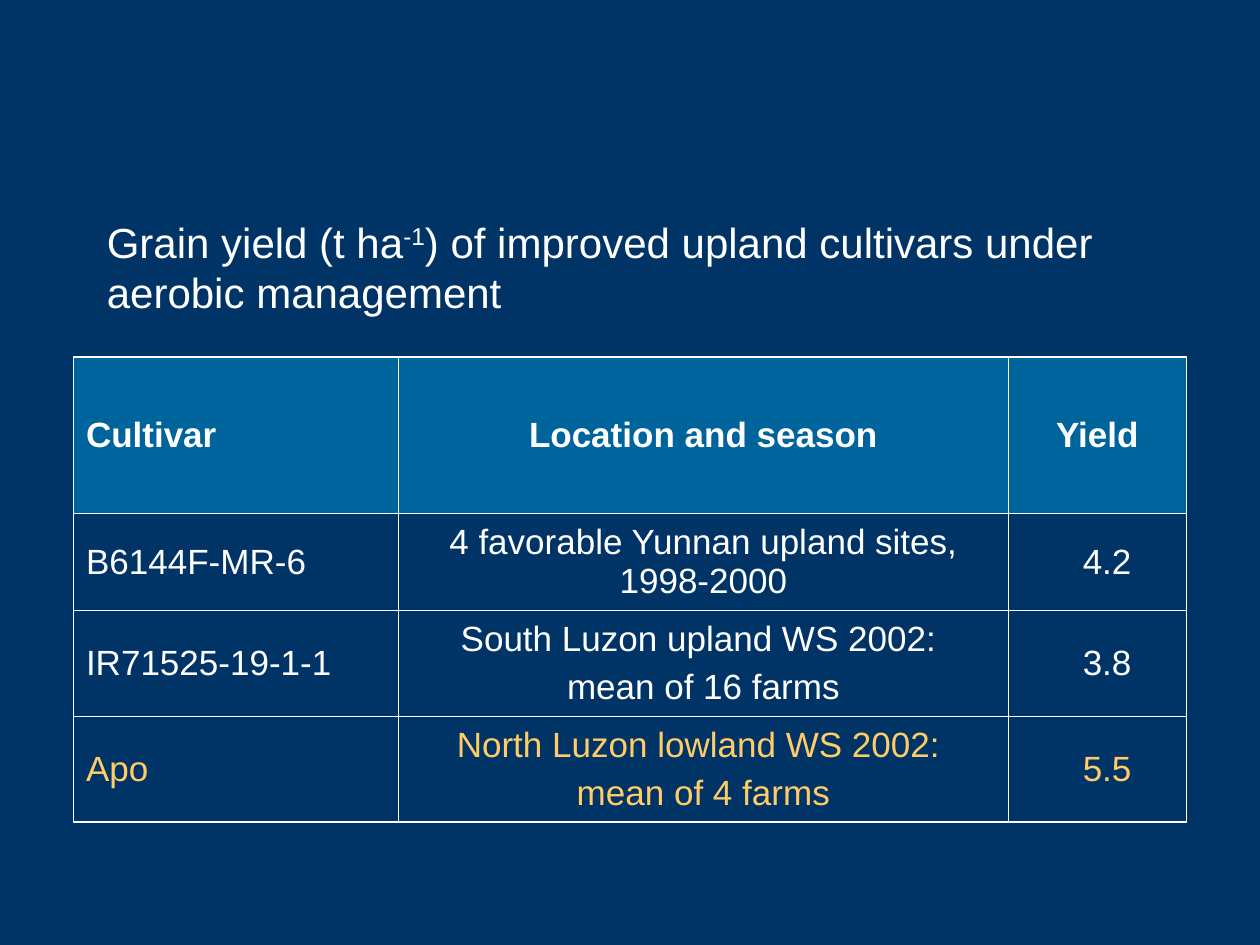
from dataclasses import dataclass

import pptx
import pptx.dml.color
import pptx.enum.text
import pptx.oxml
import pptx.oxml.ns
import pptx.util

Cm = pptx.util.Cm
Pt = pptx.util.Pt


@dataclass(frozen=True)
class Theme:
    font: str = "Arial"
    background: str = "003366"
    header: str = "00649C"
    text: str = "FFFFFF"
    highlight: str = "FFCC66"
    heading_size: int = 24
    table_size: int = 20
    paragraph_gap: int = 5
    outer_line: float = 1.08
    inner_line: float = 0.45


def rgb(value):
    return pptx.dml.color.RGBColor.from_string(value)


class SlideBuilder:
    def __init__(self, slide, theme):
        self.slide = slide
        self.theme = theme
        background = slide.background.fill
        background.solid()
        background.fore_color.rgb = rgb(theme.background)

    def add_run(self, paragraph, text, size, color, bold=False, baseline=0):
        run = paragraph.add_run()
        run.text = text
        run.font.name = self.theme.font
        run.font.size = Pt(size)
        run.font.bold = bold
        run.font.color.rgb = rgb(color)
        if baseline:
            run.font._element.set("baseline", str(baseline * 1000))

    def add_heading(self, parts, left, top, width, height):
        title = self.slide.shapes.title
        title.left, title.top = Cm(left), Cm(top)
        title.width, title.height = Cm(width), Cm(height)
        frame = title.text_frame
        frame.word_wrap = True
        frame.auto_size = pptx.enum.text.MSO_AUTO_SIZE.SHAPE_TO_FIT_TEXT
        frame.vertical_anchor = pptx.enum.text.MSO_ANCHOR.TOP
        paragraph = frame.paragraphs[0]
        paragraph.alignment = pptx.enum.text.PP_ALIGN.LEFT
        for text, baseline in parts:
            self.add_run(paragraph, text, self.theme.heading_size,
                         self.theme.text, baseline=baseline)

    def add_border(self, cell, side, width):
        line = pptx.oxml.parse_xml(
            f'<a:{side} {pptx.oxml.ns.nsdecls("a")} w="{Pt(width)}">'
            f'<a:solidFill><a:srgbClr val="{self.theme.text}"/></a:solidFill>'
            f'</a:{side}>')
        cell._tc.get_or_add_tcPr().append(line)

    def fill_cell(self, cell, lines, color, alignment, is_header):
        cell.vertical_anchor = pptx.enum.text.MSO_ANCHOR.MIDDLE
        if is_header:
            cell.fill.solid()
            cell.fill.fore_color.rgb = rgb(self.theme.header)
        else:
            cell.fill.background()
        frame = cell.text_frame
        for index, text in enumerate(lines):
            paragraph = frame.add_paragraph() if index else frame.paragraphs[0]
            paragraph.alignment = alignment
            if index:
                paragraph.space_before = Pt(self.theme.paragraph_gap)
            self.add_run(paragraph, text, self.theme.table_size, color, is_header)

    def add_yield_table(self, rows, left, top, widths, heights, highlighted, indent):
        table = self.slide.shapes.add_table(
            len(rows), len(widths), Cm(left), Cm(top),
            Cm(sum(widths)), Cm(sum(heights))).table
        table.first_row = table.horz_banding = False
        for column, width in zip(table.columns, widths):
            column.width = Cm(width)
        for row, height in zip(table.rows, heights):
            row.height = Cm(height)

        align = pptx.enum.text.PP_ALIGN
        last_row, last_column = len(rows) - 1, len(widths) - 1
        for r, row in enumerate(rows):
            color = self.theme.highlight if r == highlighted else self.theme.text
            for c, lines in enumerate(row):
                cell = table.cell(r, c)
                edges = {"lnL": c == 0, "lnR": c == last_column,
                         "lnT": r == 0, "lnB": r == last_row}
                for side, is_outer in edges.items():
                    self.add_border(cell, side, self.theme.outer_line if is_outer
                                    else self.theme.inner_line)
                if r and c == last_column:
                    cell.margin_left = Cm(indent)
                self.fill_cell(cell, lines, color,
                               align.CENTER if c else align.LEFT, r == 0)


def main():
    deck = pptx.Presentation()
    deck.slide_width, deck.slide_height = Cm(25.4), Cm(19.05)
    builder = SlideBuilder(deck.slides.add_slide(deck.slide_layouts[5]), Theme())

    heading = [
        ("Grain yield (t ha", 0),
        ("-1", 30),
        (") of improved upland cultivars under aerobic management", 0),
    ]
    builder.add_heading(heading, left=1.9, top=4.23, width=22.43, height=2.3)

    cultivar_yields = [
        (["Cultivar"], ["Location and season"], ["Yield"]),
        (["B6144F-MR-6"], ["4 favorable Yunnan upland sites, 1998-2000"], ["4.2"]),
        (["IR71525-19-1-1"],
         ["South Luzon upland WS 2002: ", "mean of 16 farms"], ["3.8"]),
        (["Apo"], ["North Luzon lowland WS 2002: ", "mean of 4 farms"], ["5.5"]),
    ]
    builder.add_yield_table(
        cultivar_yields, left=1.48, top=7.2, widths=[6.56, 12.28, 3.6],
        heights=[3.15, 1.96, 2.13, 2.13], highlighted=3, indent=0.65)

    deck.save("out.pptx")


if __name__ == "__main__":
    main()
